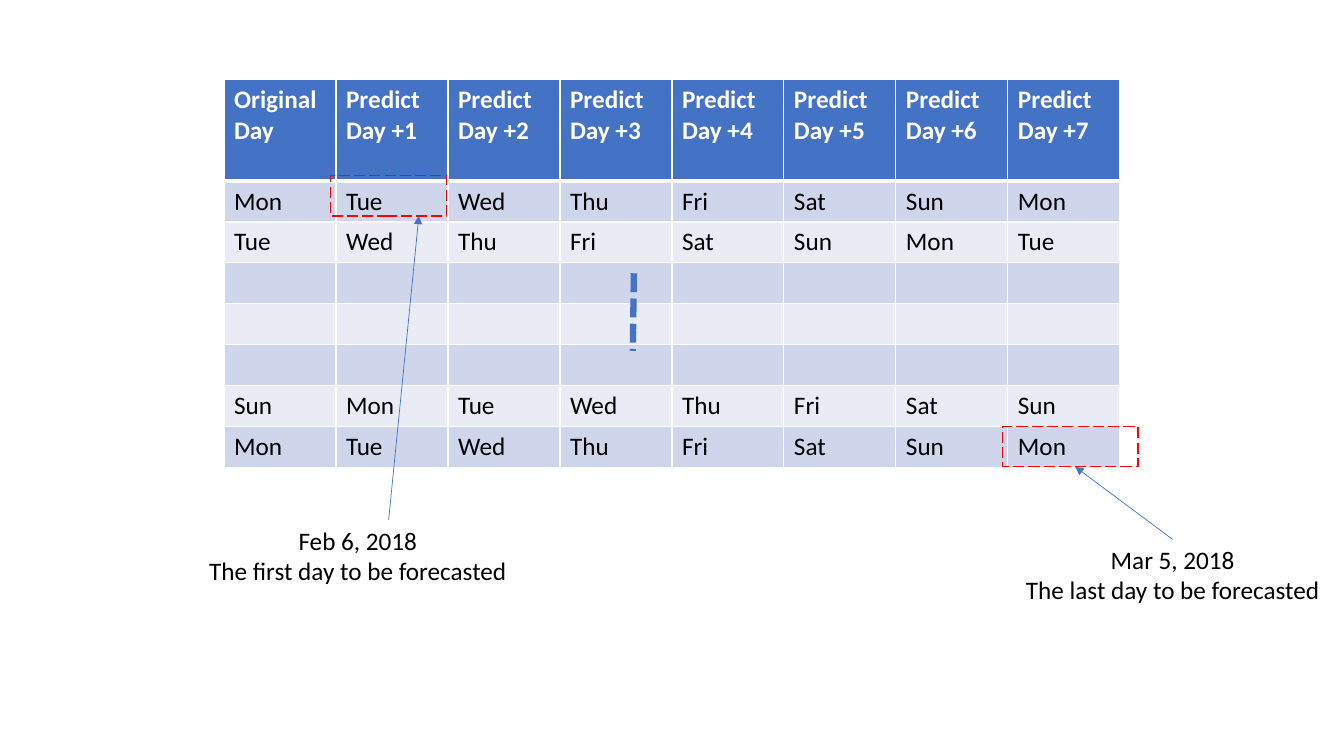
from lxml import etree
from pptx import Presentation
from pptx.dml.color import RGBColor
from pptx.enum.dml import MSO_LINE
from pptx.enum.shapes import MSO_CONNECTOR, MSO_SHAPE
from pptx.enum.text import MSO_AUTO_SIZE, PP_ALIGN
from pptx.oxml.ns import qn
from pptx.util import Inches, Pt

STRAIGHT = MSO_CONNECTOR.STRAIGHT
RECT = MSO_SHAPE.RECTANGLE
LONG_DASH = MSO_LINE.LONG_DASH
SQUARE_DOT = MSO_LINE.SQUARE_DOT
FIT_SHAPE = MSO_AUTO_SIZE.SHAPE_TO_FIT_TEXT
CENTER = PP_ALIGN.CENTER
TOP = 0

FONT = "Calibri"
SIZE = 18
COLORS = {
    "blue": "4472C4",
    "band_dark": "CFD5EA",
    "band_light": "E9EBF5",
    "white": "FFFFFF",
    "black": "000000",
    "red": "FF0000",
}
GRID_COLS, GRID_ROWS = 12, 20

DAYS = ["Mon", "Tue", "Wed", "Thu", "Fri", "Sat", "Sun"]
HORIZON = 7
START_DAYS = ["Mon", "Tue", None, None, None, "Sun", "Mon"]
HEADER_ROWS, BODY_ROWS = 2.68, 1.08  # table row heights in grid rows


def rgb(name):
    return RGBColor.from_string(COLORS[name])


def forecast_row(start):
    if start is None:
        return [""] * (HORIZON + 1)
    first = DAYS.index(start)
    return [DAYS[(first + step) % len(DAYS)] for step in range(HORIZON + 1)]


class GridSlide:
    """Draws on one slide; positions are in grid columns and rows."""

    def __init__(self, prs):
        self.slide = prs.slides.add_slide(prs.slide_layouts[6])
        self.shapes = self.slide.shapes
        self.col = prs.slide_width / GRID_COLS
        self.row = prs.slide_height / GRID_ROWS

    def x(self, cols):
        return round(cols * self.col)

    def y(self, rows):
        return round(rows * self.row)

    def box(self, left, top, width, height):
        return self.x(left), self.y(top), self.x(width), self.y(height)

    def style_text(self, tf, color, bold=False, align=None):
        for p in tf.paragraphs:
            p.alignment = align
            for r in p.runs:
                r.font.name = FONT
                r.font.size = Pt(SIZE)
                r.font.bold = bold
                r.font.color.rgb = rgb(color)

    def style_line(self, line, color, width, dash=None):
        line.color.rgb = rgb(color)
        line.width = Pt(width)
        if dash is not None:
            line.dash_style = dash

    def cell_borders(self, cell, top, bottom):
        tc_pr = cell._tc.get_or_add_tcPr()
        for side, width in (("L", 1), ("R", 1), ("T", top), ("B", bottom)):
            ln = etree.SubElement(tc_pr, qn(f"a:ln{side}"), w=str(Pt(width)))
            fill = etree.SubElement(ln, qn("a:solidFill"))
            etree.SubElement(fill, qn("a:srgbClr"), val=COLORS["white"])

    def table(self, left, top, rows):
        """Add a banded table whose columns are one grid column wide."""
        n_rows, n_cols = len(rows), len(rows[0])
        height = HEADER_ROWS + (n_rows - 1) * BODY_ROWS
        table = self.shapes.add_table(
            n_rows, n_cols, *self.box(left, top, n_cols, height)).table
        table.horz_banding = False
        for i, texts in enumerate(rows):
            header = i == 0
            table.rows[i].height = self.y(HEADER_ROWS if header else BODY_ROWS)
            band = "band_dark" if i % 2 else "band_light"
            for j, text in enumerate(texts):
                cell = table.cell(i, j)
                cell.text_frame.text = text
                self.style_text(cell.text_frame,
                                "white" if header else "black", header)
                self.cell_borders(cell, 3 if i == 1 else 1, 3 if header else 1)
                cell.fill.solid()
                cell.fill.fore_color.rgb = rgb("blue" if header else band)

    def label(self, left, top, width, height, text):
        sp = self.shapes.add_textbox(*self.box(left, top, width, height))
        tf = sp.text_frame
        tf.word_wrap = False
        tf.auto_size = FIT_SHAPE
        tf.text = text
        self.style_text(tf, "black", align=CENTER)
        return sp

    def outline(self, left, top, width, height):
        sp = self.shapes.add_shape(RECT, *self.box(left, top, width, height))
        sp.shadow.inherit = False
        sp.fill.background()
        self.style_line(sp.line, "red", 1, LONG_DASH)

    def line(self, start, end, width, dash=None, arrow=False):
        cx = self.shapes.add_connector(
            STRAIGHT, self.x(start[0]), self.y(start[1]),
            self.x(end[0]), self.y(end[1]))
        self.style_line(cx.line, "blue", width, dash)
        if arrow:
            etree.SubElement(cx.line._get_or_add_ln(), qn("a:tailEnd"),
                             type="triangle")
        etree.SubElement(cx._element.spPr, qn("a:effectLst"))
        return cx


def main():
    prs = Presentation()
    prs.slide_width, prs.slide_height = Inches(13.33), Inches(7.5)
    s = GridSlide(prs)

    header = ["Original Day"]
    header += [f"Predict\nDay +{n}" for n in range(1, HORIZON + 1)]
    s.table(2, 2.11, [header] + [forecast_row(day) for day in START_DAYS])
    s.line((5.66, 7.23), (5.65, 9.28), 4.5, SQUARE_DOT)

    last = s.label(9.05, 14.27, 2.84, 1.89,
                   "Mar 5, 2018\nThe last day to be forecasted")
    arrow = s.line((10.47, 14.27), (9.6, 12.35), 0.5, arrow=True)
    arrow.begin_connect(last, TOP)
    s.outline(8.95, 11.28, 1.21, 1.07)

    s.outline(2.95, 4.64, 1.04, 1.07)
    s.label(1.76, 13.76, 2.87, 1.89,
            "Feb 6, 2018\nThe first day to be forecasted")
    s.line((3.47, 13.76), (3.74, 5.71), 0.5, arrow=True)

    prs.save("out.pptx")


if __name__ == "__main__":
    main()
